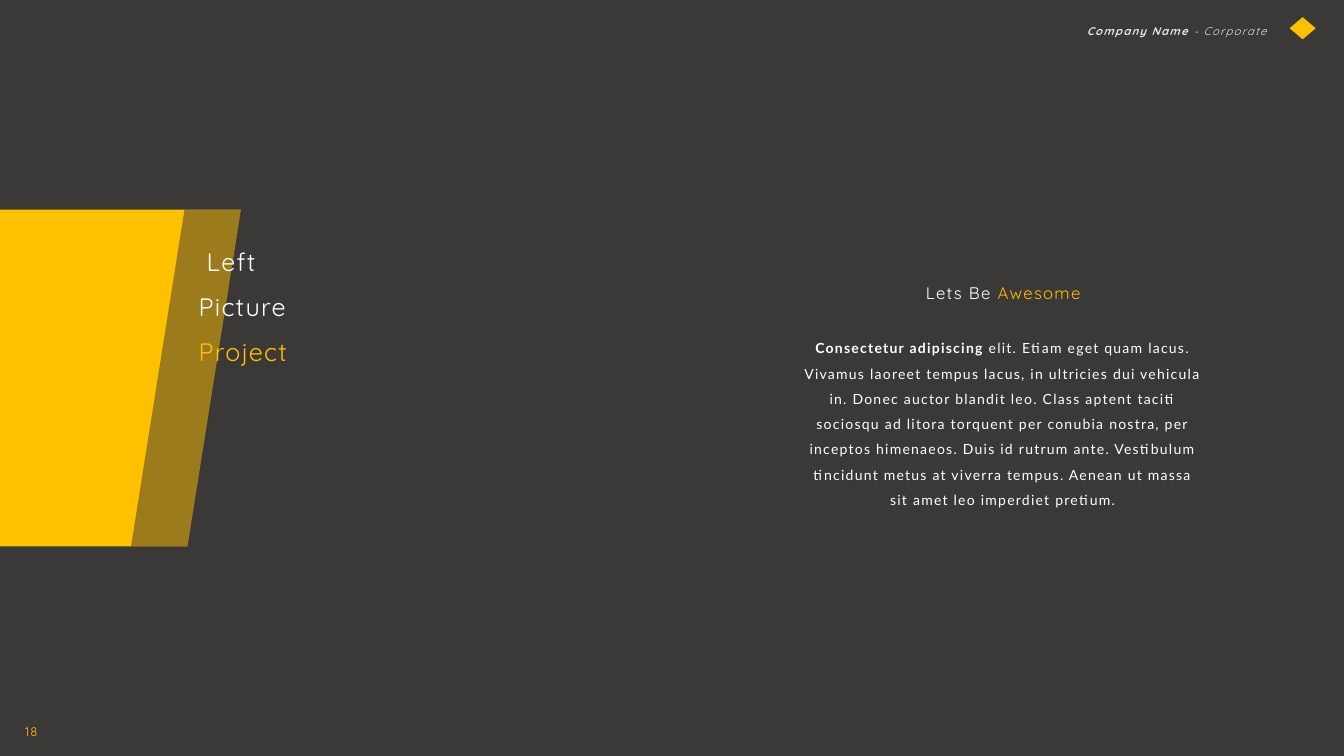
from dataclasses import dataclass

from pptx import Presentation
from pptx.dml.color import RGBColor as Rgb
from pptx.enum.shapes import MSO_SHAPE as Shape
from pptx.enum.text import MSO_ANCHOR as Anchor, MSO_AUTO_SIZE as Fit, PP_ALIGN as Align
from pptx.oxml.ns import qn
from pptx.shapes.base import BaseShape
from pptx.slide import Slide
from pptx.text.text import TextFrame
from pptx.util import Inches, Pt
from lxml import etree


@dataclass(frozen=True)
class Theme:
    dark: str = "3B3838"
    gold: str = "FFC000"
    light: str = "E7E6E6"
    white: str = "FFFFFF"
    head: str = "Quicksand"
    body: str = "Lato"
    title: float = 18
    lead: float = 12
    text: float = 10
    page: float = 9
    brand: float = 8
    track: int = 90
    line: float = 1.5


@dataclass(frozen=True)
class Run:
    text: str
    color: str
    size: float
    font: str
    bold: bool = False
    slant: bool = False


@dataclass(frozen=True)
class Line:
    runs: tuple[Run, ...]
    align: Align = Align.LEFT
    indent: float = 0


@dataclass(frozen=True)
class Block:
    left: float
    top: float
    width: float
    height: float
    line: Line


@dataclass(frozen=True)
class Panel:
    points: tuple[tuple[float, float], ...]
    color: str
    alpha: int = 100


T = Theme()

# Slanted panels
TOP, BASE = 2.08, 5.42
PANELS = (
    Panel(((0, TOP), (2.39, TOP), (1.86, BASE), (0, BASE)), T.gold),
    Panel(((1.83, TOP), (7.19, TOP), (6.67, BASE), (1.3, BASE)), T.dark, 50),
)

# Title lines step left along the slant
STEP = 0.08
TITLE = tuple(
    Line((Run(word, color, T.title, T.head),), indent=STEP * (2 - i))
    for i, (word, color) in enumerate(
        (("Left", T.white), ("Picture", T.white), ("Project", T.gold)))
)

STORY = (
    "elit. Etiam eget quam lacus. Vivamus laoreet tempus lacus, in ultricies dui "
    "vehicula in. Donec auctor blandit leo. Class aptent taciti sociosqu ad litora "
    "torquent per conubia nostra, per inceptos himenaeos. Duis id rutrum ante. "
    "Vestibulum tincidunt metus at viverra tempus. Aenean ut massa sit amet leo "
    "imperdiet pretium."
)

BLOCKS = (
    Block(10.64, 0.13, 2.02, 0.28, Line((
        Run("Company Name ", T.light, T.brand, T.head, True, True),
        Run("- Corporate", T.light, T.brand, T.head, False, True)), Align.RIGHT)),
    Block(0.15, 7.06, 0.53, 0.3, Line((Run("18", T.gold, T.page, T.head),))),
    Block(8.92, 2.66, 2.06, 0.37, Line((
        Run("Lets Be ", T.white, T.lead, T.head),
        Run("Awesome", T.gold, T.lead, T.head)), Align.CENTER)),
    Block(7.86, 3.24, 4.17, 1.58, Line((
        Run("Consectetur adipiscing ", T.white, T.text, T.body, True),
        Run(STORY, T.white, T.text, T.body)), Align.CENTER)),
)


def paint(shape: BaseShape, color: str, alpha: int = 100) -> None:
    shape.shadow.inherit = False
    shape.line.fill.background()
    shape.fill.solid()
    shape.fill.fore_color.rgb = Rgb.from_string(color)
    if alpha < 100:
        tone = shape.fill._xPr.find(qn("a:solidFill"))[0]
        etree.SubElement(tone, qn("a:alpha")).set("val", str(alpha * 1000))


def draw(slide: Slide, panel: Panel) -> None:
    first, *rest = [(Inches(x), Inches(y)) for x, y in panel.points]
    pen = slide.shapes.build_freeform(*first)
    pen.add_line_segments(rest, close=True)
    paint(pen.convert_to_shape(), panel.color, panel.alpha)


def write(frame: TextFrame, lines: tuple[Line, ...]) -> None:
    frame.word_wrap = True
    frame.auto_size = Fit.SHAPE_TO_FIT_TEXT
    for i, line in enumerate(lines):
        para = frame.add_paragraph() if i else frame.paragraphs[0]
        para.alignment = line.align
        para.line_spacing = T.line
        if line.indent:
            para._p.get_or_add_pPr().set("marL", str(Inches(line.indent)))
        for item in line.runs:
            run = para.add_run()
            run.text = item.text
            font = run.font
            font.name, font.size = item.font, Pt(item.size)
            font.bold, font.italic = item.bold, item.slant
            font.color.rgb = Rgb.from_string(item.color)
            run._r.get_or_add_rPr().set("spc", str(T.track))


def place(slide: Slide, block: Block) -> None:
    box = slide.shapes.add_textbox(
        *map(Inches, (block.left, block.top, block.width, block.height)))
    write(box.text_frame, (block.line,))


def main() -> None:
    deck = Presentation()
    deck.slide_width, deck.slide_height = Inches(13.33), Inches(7.5)
    slide = deck.slides.add_slide(deck.slide_layouts[5])
    slide.background.fill.solid()
    slide.background.fill.fore_color.rgb = Rgb.from_string(T.dark)

    # Panels and brand mark
    for panel in PANELS:
        draw(slide, panel)
    mark = slide.shapes.add_shape(
        Shape.DIAMOND, *map(Inches, (12.79, 0.17, 0.26, 0.22)))
    paint(mark, T.gold)

    # Title, in front of the panels
    title = slide.shapes.title
    title.left, title.top, title.width, title.height = map(
        Inches, (1.79, 2.26, 1.41, 1.41))
    title.text_frame.vertical_anchor = Anchor.MIDDLE
    write(title.text_frame, TITLE)
    slide.shapes._spTree.append(title._element)

    # Text blocks
    for block in BLOCKS:
        place(slide, block)

    deck.save("out.pptx")


if __name__ == "__main__":
    main()
